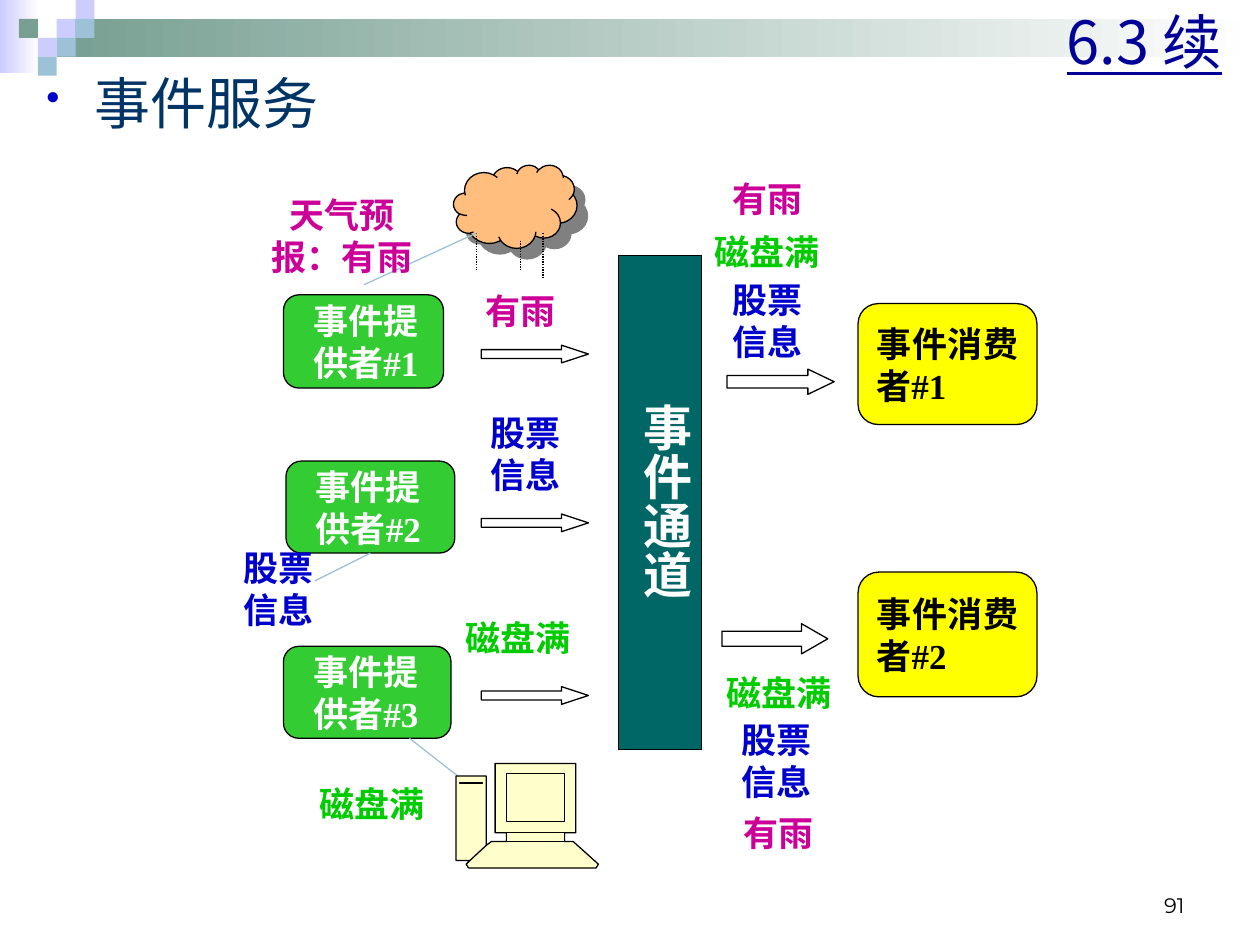
from lxml import etree
from pptx import Presentation
from pptx import util as u
from pptx.dml.color import RGBColor
from pptx.enum import dml, shapes, text
from pptx.oxml import parse_xml
from pptx.oxml.ns import nsdecls, qn

COLORS = {
    "black": "000000", "white": "FFFFFF", "lilac": "CCCCFF", "sage": "779F92",
    "sky": "9DC2D7", "title": "000099", "heading": "003366", "bullet": "0000CC",
    "channel": "006666", "provider": "33CC33", "consumer": "FFFF00",
    "rain": "CC0099", "stock": "0000CC", "disk": "00CC00",
    "cloud": "FFBE7D", "computer": "FFFFCC",
}
RGB = {name: RGBColor.from_string(value) for name, value in COLORS.items()}
SHAPE, ALIGN, ANCHOR = shapes.MSO_SHAPE, text.PP_ALIGN, text.MSO_ANCHOR
SERIF, SANS = "Times New Roman", "Noto Sans CJK SC"

prs = Presentation()
prs.slide_width, prs.slide_height = u.Inches(10), u.Inches(7.5)
slide = prs.slides.add_slide(prs.slide_layouts[5])


def add_box(kind, at, fill, line="black"):
    """Add a preset shape, or a text box when kind is None, at inches (l, t, w, h)."""
    area = [u.Inches(v) for v in at]
    if kind is None:
        return slide.shapes.add_textbox(*area)
    box = slide.shapes.add_shape(kind, *area)
    box.shadow.inherit = False
    box.fill.solid()
    box.fill.fore_color.rgb = RGB[fill]
    if line:
        box.line.color.rgb = RGB[line]
        box.line.width = u.Pt(0.75)
    else:
        box.line.fill.background()
    return box


def write(box, words, color, size=20, face=SERIF, align=ALIGN.CENTER,
          anchor=ANCHOR.TOP, bold=True, **frame_format):
    frame = box.text_frame
    frame_values = {"word_wrap": True, "auto_size": text.MSO_AUTO_SIZE.NONE,
                    "vertical_anchor": anchor, **frame_format}
    for name, value in frame_values.items():
        setattr(frame, name, value)
    paragraph = frame.paragraphs[0]
    paragraph.alignment = align
    run = paragraph.add_run()
    run.text = words
    for name, value in {"size": u.Pt(size), "bold": bold, "name": face}.items():
        setattr(run.font, name, value)
    run.font.color.rgb = RGB[color]
    etree.SubElement(run.font._element, qn("a:ea"), typeface=SANS)
    return paragraph


# Banner: two gradient bars and a mosaic on a square grid
for at, start in [((0, 0, 0.31, 0.58), "lilac"), ((0.45, 0.15, 9.55, 0.3), "sage")]:
    bar = add_box(SHAPE.RECTANGLE, at, start, None)
    bar.fill.gradient()
    bar.fill.gradient_angle = 0
    for stop, color, position in zip(bar.fill.gradient_stops, (start, "white"), (0, 1)):
        stop.color.rgb = RGB[color]
        stop.position = position

TILE = 0.15
mosaic = [(3, 1, "lilac"), (4, 0, "lilac"), (4, 1, "sky"), (2, 2, "lilac"),
          (1, 1, "sage"), (3, 2, "sky"), (2, 3, "sky")]
for column, row, color in mosaic:
    add_box(SHAPE.RECTANGLE, (column * TILE, row * TILE, TILE, TILE), color, None)

# Title, heading and page number
title = slide.shapes.title
title.element.getparent().append(title.element)
for side, inches in {"left": 0.8, "top": -0.03, "width": 9, "height": 0.71}.items():
    setattr(title, side, u.Inches(inches))
title_line = write(title, "6.3 续", "title", 34, SANS, ALIGN.RIGHT, ANCHOR.MIDDLE, False)
title_line.runs[0].font.underline = True

heading = write(add_box(None, (0.27, 0.44, 9.45, 0.9), None), "事件服务", "heading", 32,
                align=ALIGN.LEFT, bold=False)
heading.line_spacing = 1.1
indent = heading._p.get_or_add_pPr()
indent.set("marL", str(u.Inches(0.38)))
indent.set("indent", str(-u.Inches(0.38)))
for bullet_part in (
    f'<a:buClr {nsdecls("a")}><a:srgbClr val="{COLORS["bullet"]}"/></a:buClr>',
    f'<a:buSzPct {nsdecls("a")} val="70000"/>',
    f'<a:buChar {nsdecls("a")} char="•"/>',
):
    indent.append(parse_xml(bullet_part))

write(add_box(None, (7.17, 6.83, 2.33, 0.5), None), "91", "black", 12, "Montserrat",
      ALIGN.RIGHT, ANCHOR.BOTTOM, False)

# Event channel
channel = add_box(SHAPE.RECTANGLE, (4.91, 2.03, 0.66, 3.92), "channel")
write(channel, "事件通道", "white", 28,
      margin_left=u.Inches(0.05), margin_right=u.Inches(0.05),
      margin_top=u.Inches(1.17), margin_bottom=u.Inches(1.17))
channel.text_frame._txBody.bodyPr.set("vert", "eaVert")

# Providers and consumers
providers = []
for number, at in enumerate([(2.25, 2.34, 1.27, 0.74), (2.27, 3.66, 1.34, 0.73),
                             (2.25, 5.13, 1.33, 0.73)], 1):
    provider = add_box(SHAPE.ROUNDED_RECTANGLE, at, "provider")
    write(provider, f"事件提供者#{number}", "white", align=ALIGN.LEFT,
          anchor=ANCHOR.MIDDLE, margin_left=u.Inches(0.2), margin_right=u.Inches(0.05))
    providers.append(provider)

for number, at in enumerate([(6.81, 2.41, 1.42, 0.96), (6.81, 4.54, 1.42, 0.99)], 1):
    write(add_box(SHAPE.ROUNDED_RECTANGLE, at, "consumer"), f"事件消费者#{number}",
          "black", align=ALIGN.JUSTIFY, anchor=ANCHOR.MIDDLE)

# Flow arrows into and out of the channel
for *at, head in [(3.82, 2.74, 0.85, 0.14, 1.52), (3.82, 4.08, 0.85, 0.14, 1.52),
                  (3.82, 5.45, 0.85, 0.14, 1.52), (5.77, 2.93, 0.85, 0.2, 1.04),
                  (5.73, 4.95, 0.84, 0.24, 0.87)]:
    arrow = add_box(SHAPE.RIGHT_ARROW, at, "white")
    arrow.adjustments[0], arrow.adjustments[1] = 0.5, head

# Rain cloud
cloud = add_box(SHAPE.CLOUD, (3.6, 1.31, 0.98, 0.66), "cloud")
cloud_effects = cloud._element.spPr.find(qn("a:effectLst"))
cloud_effects.append(parse_xml(
    f'<a:outerShdw {nsdecls("a")} dist="{u.Pt(8.5)}" dir="2700000" algn="ctr" rotWithShape="0">'
    '<a:srgbClr val="808080"/></a:outerShdw>'))

# Rain and callout lines
rain, callout = ("black", True), ("sky", False)
links = []
for *ends, (color, dotted) in [
    (3.78, 1.85, 3.78, 2.14, rain), (4.13, 1.91, 4.13, 2.14, rain),
    (4.31, 1.85, 4.31, 2.2, rain), (3.78, 1.85, 2.89, 2.26, callout),
    (3.25, 5.86, 3.75, 6.25, callout), (2.5, 4.61, 2.91, 4.39, callout),
]:
    link = slide.shapes.add_connector(shapes.MSO_CONNECTOR.STRAIGHT,
                                      *[u.Inches(v) for v in ends])
    link.line.color.rgb = RGB[color]
    link.line.width = u.Pt(0.75)
    if dotted:
        link.line.dash_style = dml.MSO_LINE.ROUND_DOT
    etree.SubElement(link._element.spPr, qn("a:effectLst"))
    links.append(link)
links[-1].end_connect(providers[1], 2)

# Computer in hundredths of an inch: tower, monitor and keyboard, then details
silhouette = [(362, 616), (386, 616), (386, 671), (390, 668), (402, 668), (402, 661),
              (393, 661), (393, 606), (457, 606), (457, 661), (448, 661), (448, 668),
              (455, 668), (475, 686), (473, 689), (372, 689), (370, 686), (373, 683),
              (362, 683)]
outline = slide.shapes.build_freeform(*silhouette[0], scale=u.Inches(0.01))
outline.add_line_segments(silhouette[1:])
outline.move_to(386, 671)
outline.add_line_segments([(373, 683)], close=False)
computer = outline.convert_to_shape()
computer.shadow.inherit = False
computer.fill.solid()
computer.fill.fore_color.rgb = RGB["computer"]
computer.line.color.rgb = RGB["black"]
computer.line.width = u.Pt(0.75)
for detail in [(4.02, 6.14, 0.46, 0.38), (4.02, 6.61, 0.46, 0.07), (3.65, 6.21, 0.18, 0.01)]:
    add_box(SHAPE.RECTANGLE, detail, "computer")

# Event labels
WORDS = {"rain": "有雨", "disk": "磁盘满", "stock": "股票信息"}
for event, *at in [
    ("rain", 5.56, 1.36, 1.06, 0.44), ("disk", 5.56, 1.78, 1.06, 0.44),
    ("stock", 5.58, 2.16, 1.03, 0.77), ("disk", 5.65, 5.28, 1.06, 0.44),
    ("stock", 5.65, 5.65, 1.03, 0.77), ("rain", 5.65, 6.39, 1.06, 0.44),
    ("rain", 3.6, 2.25, 1.06, 0.44), ("stock", 3.66, 3.22, 1.03, 0.77),
    ("disk", 3.58, 4.84, 1.06, 0.44), ("stock", 1.75, 4.29, 0.92, 0.77),
    ("disk", 2.41, 6.16, 1.08, 0.44),
]:
    write(add_box(None, at, None), WORDS[event], event)
forecast = write(add_box(None, (2, 1.49, 1.43, 0.77), None), "天气预报：有雨", "rain")
forecast._p.get_or_add_pPr().set("hangingPunct", "0")

prs.save("out.pptx")
